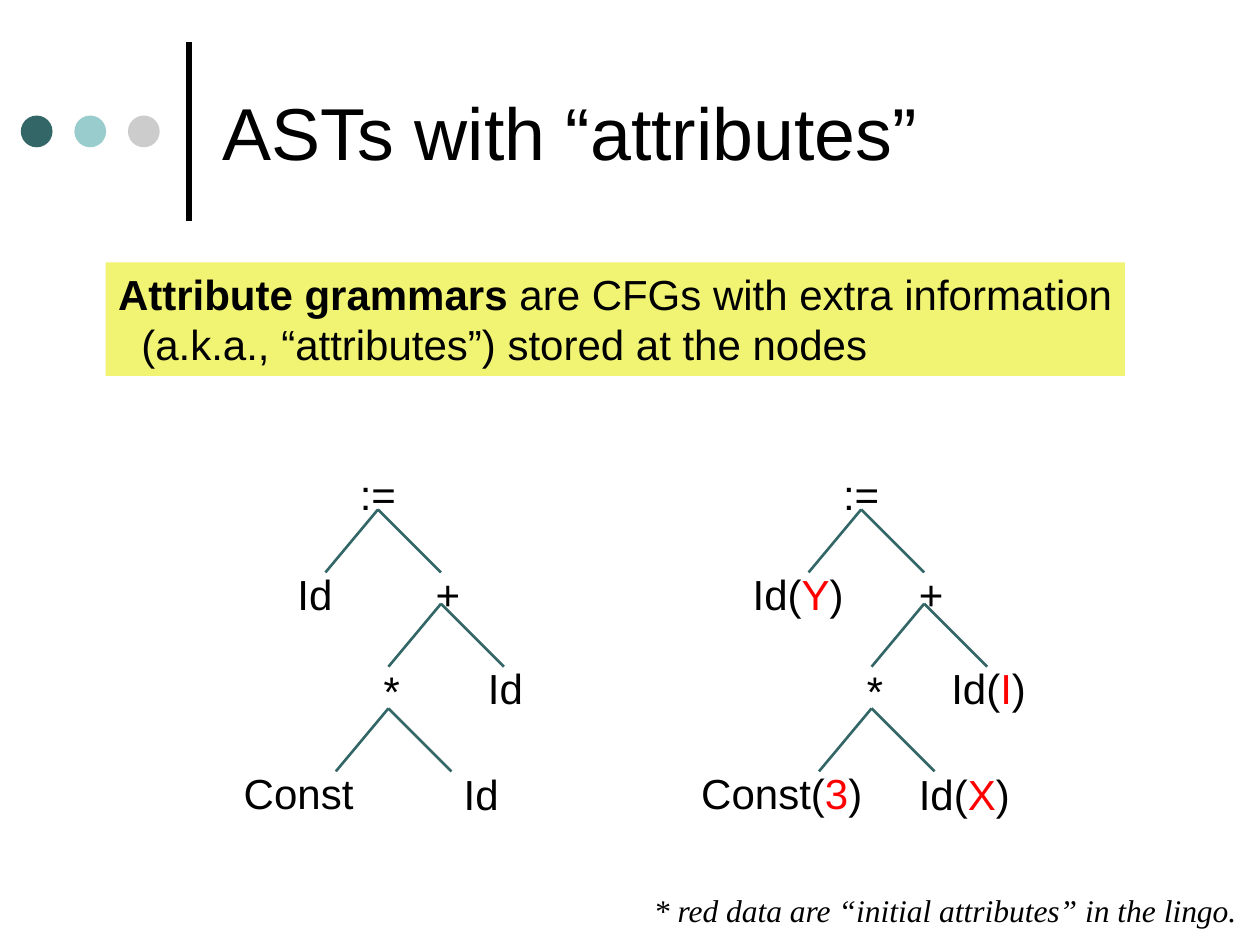
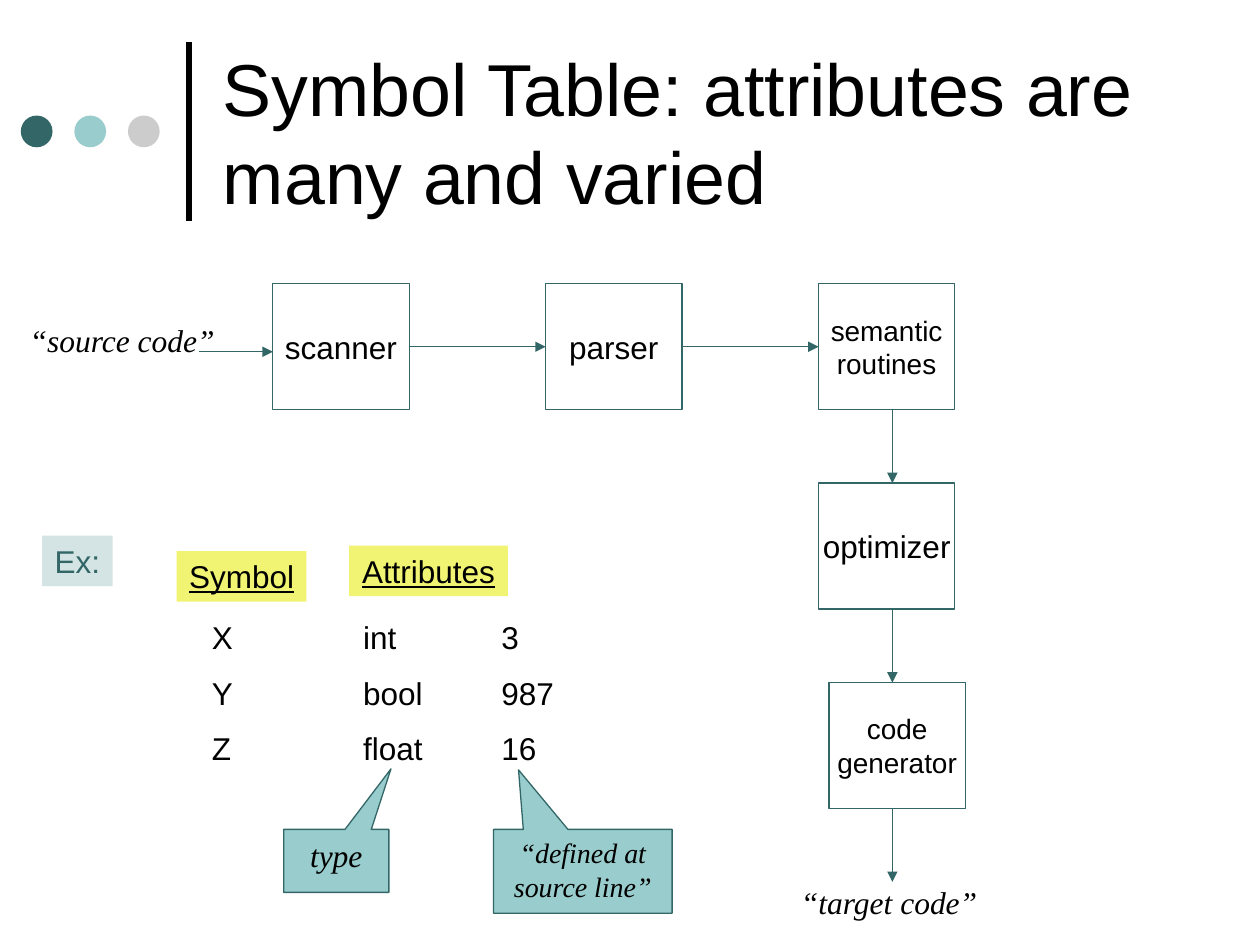
"""Build two compiler slides: attributed syntax trees and the symbol table."""
from dataclasses import dataclass

from lxml.etree import SubElement
from pptx import Presentation
from pptx.dml.color import RGBColor
from pptx.enum.shapes import MSO_CONNECTOR, MSO_SHAPE
from pptx.enum.text import MSO_ANCHOR, MSO_AUTO_SIZE, PP_ALIGN
from pptx.oxml.ns import qn
from pptx.util import Cm, Pt


@dataclass(frozen=True)
class Theme:
    ink: str = "000000"
    paper: str = "FFFFFF"
    teal: str = "336666"
    aqua: str = "99CCCC"
    grey: str = "CCCCCC"
    mist: str = "D4E4E4"
    yellow: str = "F1F472"
    red: str = "FF0000"
    sans: str = "Arial"
    serif: str = "Times New Roman"
    mono: str = "Courier New"
    title: int = 42
    large: int = 24
    normal: int = 18
    small: int = 16
    thin: float = 0.75
    branch: float = 1.5
    bar: float = 3


T = Theme()
NOTE = dict(font=T.serif, italic=True)

TITLES = ["ASTs with “attributes”", "Symbol Table: attributes are many and varied"]
TITLE_BOX = (4.24, 0.53, 19.48, 4.24)
DOTS = [T.teal, T.aqua, T.grey]

DEFINITION = [
    [("Attribute grammars", dict(bold=True)), (" are CFGs with extra information", {})],
    [("(a.k.a., “attributes”) stored at the nodes", {})],
]
FOOTNOTE = "* red data are “initial attributes” in the lingo."

NODES = [
    (":=", 7.62, 9.32),
    ("Id", 6.35, 11.33),
    ("+", 9.03, 11.33),
    ("*", 7.9, 13.31),
    ("Id", 10.19, 13.23),
    ("Const", 6.02, 15.34),
    ("Id", 9.7, 15.37),
]
FORKS = [(7.62, 10.27), (8.89, 12.17), (7.83, 14.28)]
BRANCHES = [(-1.06, 1.27), (1.27, 1.27)]
WIDTHS = {":=": 1.24, "Id": 1.22, "+": 1.02, "*": 1.02, "Const": 2.72,
          "Id(Y)": 2.34, "Id(I)": 2.01, "Const(3)": 3.76, "Id(X)": 2.34}
TREES = [(0, [""] * 7), (9.74, ["", "Y", "", "", "I", "3", "X"])]

BOX_W, BOX_H = 2.75, 2.54
COL0, ROW0, COL_STEP, ROW_STEP = 5.5, 5.72, 5.5, 4.02
DOWN_X = 17.99
STAGES = [
    (["scanner"], 0, 0, 0, T.normal),
    (["parser"], 1, 0, 0, T.normal),
    (["semantic", "routines"], 2, 0, 0, T.small),
    (["optimizer"], 2, 1, 0, T.normal),
    (["code", "generator"], 2, 2, 0.21, T.small),
]
ENDS = [("“target code”", (15.88, 17.68, 4.09, 1.02)),
        ("“source code”", (0.33, 6.35, 4.27, 1.02))]
SYMBOLS = [("X", "int", "3"), ("Y", "bool", "987"), ("Z", "float", "16")]
SYMBOL_TABS = [3.05, 5.84]
TAGS = [
    ("Symbol", (3.56, 11.11, 2.62, 1.02), T.yellow, dict(underline=True)),
    ("Attributes", (7.04, 11, 3.2, 1.02), T.yellow, dict(underline=True)),
    ("Ex:", (0.85, 10.8, 1.42, 1.02), T.mist, dict(color=T.teal)),
]
CALLOUTS = [
    ("type", (5.72, 16.72, 2.12, 1.27), (0.52, -1.46), T.normal),
    ("“defined at source line”", (9.95, 16.72, 3.6, 1.69), (-0.36, -1.21), T.small),
]


def rgb(color):
    return RGBColor.from_string(color)


def cms(box):
    return [Cm(v) for v in box]


def plain(*lines):
    return [[(line, {})] for line in lines]


def write(sp, paras, size, font=T.sans, color=T.ink, align=PP_ALIGN.CENTER, **style):
    tf = sp.text_frame
    for i, runs in enumerate(paras):
        p = tf.paragraphs[0] if i == 0 else tf.add_paragraph()
        p.alignment = align
        for text, extra in runs:
            look = {"color": color, **style, **extra}
            r = p.add_run()
            r.text = text
            r.font.name, r.font.size = font, Pt(size)
            r.font.color.rgb = rgb(look.pop("color"))
            for name, value in look.items():
                setattr(r.font, name, value)
    return tf


def fit(tf, wrap=False):
    tf.word_wrap = wrap
    tf.auto_size = MSO_AUTO_SIZE.SHAPE_TO_FIT_TEXT
    tf.vertical_anchor = MSO_ANCHOR.TOP


def shape(shapes, kind, box, fill, line=None):
    sp = shapes.add_shape(kind, *cms(box))
    sp.shadow.inherit = False
    sp.fill.solid()
    sp.fill.fore_color.rgb = rgb(fill)
    if line:
        sp.line.color.rgb = rgb(line)
        sp.line.width = Pt(T.thin)
    else:
        sp.line.fill.background()
    return sp


def label(shapes, box, paras, size, **style):
    sp = shapes.add_textbox(*cms(box))
    fit(write(sp, paras, size, **style))
    return sp


def line(shapes, start, end, color=T.teal, width=T.thin, arrow=False):
    c = shapes.add_connector(MSO_CONNECTOR.STRAIGHT, *cms(start + end))
    c.line.color.rgb = rgb(color)
    c.line.width = Pt(width)
    if arrow:
        SubElement(c.get_or_add_ln(), qn("a:tailEnd"), type="triangle")
    SubElement(c.element.spPr, qn("a:effectLst"))
    return c


def style_layout(layout, slide):
    title = layout.placeholders[0]
    title.left, title.top, title.width, title.height = cms(TITLE_BOX)
    title.text_frame.vertical_anchor = MSO_ANCHOR.MIDDLE
    band = [line(slide.shapes, (3.81, 4.45), (3.81, 0.84), T.ink, T.bar)]
    for i, color in enumerate(DOTS):
        dot = (0.42 + 1.08 * i, 2.33, 0.64, 0.64)
        band.append(shape(slide.shapes, MSO_SHAPE.OVAL, dot, color))
    for i, sp in enumerate(band):
        sp.element.xpath(".//p:cNvPr")[0].set("id", str(20 + i))
        layout.shapes.element.insert(2 + i, sp.element)


def draw_tree(slide, dx, values):
    shapes = slide.shapes.add_group_shape().shapes
    for (name, x, y), value in zip(NODES, values):
        runs = [(name, {})]
        if value:
            runs = [(name + "(", {}), (value, dict(color=T.red)), (")", {})]
        w = WIDTHS["".join(text for text, _ in runs)]
        font = T.mono if name == "*" else T.sans
        label(shapes, (x + dx - w / 2, y, w, 1.27), [runs], T.large, font=font)
    for x, y in FORKS:
        for bx, by in BRANCHES:
            line(shapes, (x + dx, y), (x + dx + bx, y + by), width=T.branch)


def draw_asts(slide):
    sp = shape(slide.shapes, MSO_SHAPE.RECTANGLE, (2.13, 5.29, 20.55, 2.29), T.yellow)
    tf = write(sp, DEFINITION, T.large, align=PP_ALIGN.LEFT)
    fit(tf)
    tf.paragraphs[1].runs[0].font.bold = False
    tf.paragraphs[1]._p.get_or_add_pPr().set("marL", str(Cm(0.47)))
    label(slide.shapes, (12.9, 17.83, 12.32, 1.02), plain(FOOTNOTE), T.normal, **NOTE)
    for dx, values in TREES:
        draw_tree(slide, dx, values)


def draw_pipeline(shapes):
    for lines, col, row, shift, size in STAGES:
        x, y = COL0 + COL_STEP * col + shift, ROW0 + ROW_STEP * row
        sp = shape(shapes, MSO_SHAPE.RECTANGLE, (x, y, BOX_W, BOX_H), T.paper, T.teal)
        tf = write(sp, plain(*lines), size)
        tf.word_wrap = False
        tf.vertical_anchor = MSO_ANCHOR.MIDDLE
    for i in range(2):
        x, y = COL0 + COL_STEP * i + BOX_W, ROW0 + BOX_H / 2
        line(shapes, (x, y), (x + COL_STEP - BOX_W, y), arrow=True)
    for i in range(3):
        y = ROW0 + ROW_STEP * i + BOX_H
        line(shapes, (DOWN_X, y), (DOWN_X, y + ROW_STEP - BOX_H), arrow=True)
    line(shapes, (4.02, 7.09), (COL0, 7.09), arrow=True)
    for text, box in ENDS:
        label(shapes, box, plain(text), T.normal, **NOTE)


def draw_symbols(shapes):
    rows = plain(*("\t".join(row) for row in SYMBOLS))
    sp = shapes.add_textbox(*cms((4.02, 12.34, 8.26, 3.3)))
    tf = write(sp, rows, T.normal, align=PP_ALIGN.LEFT)
    fit(tf, wrap=True)
    for p in tf.paragraphs:
        p.space_after = Pt(10)
        tabs = SubElement(p._p.get_or_add_pPr(), qn("a:tabLst"))
        for pos in SYMBOL_TABS:
            SubElement(tabs, qn("a:tab"), pos=str(Cm(pos)), algn="l")
    for text, box, fill, style in TAGS:
        sp = shape(shapes, MSO_SHAPE.RECTANGLE, box, fill)
        fit(write(sp, plain(text), T.normal, **style))
    for text, box, tip, size in CALLOUTS:
        sp = shape(shapes, MSO_SHAPE.RECTANGULAR_CALLOUT, box, T.aqua, T.teal)
        sp.adjustments[0], sp.adjustments[1] = tip
        tf = write(sp, plain(text), size, **NOTE)
        tf.word_wrap = True
        tf.vertical_anchor = MSO_ANCHOR.TOP


def main():
    prs = Presentation()
    prs.slide_width, prs.slide_height = Cm(25.4), Cm(19.05)
    layout = prs.slide_layouts[5]
    slides = [prs.slides.add_slide(layout) for _ in TITLES]
    style_layout(layout, slides[0])
    for slide, title in zip(slides, TITLES):
        write(slide.shapes.title, plain(title), T.title, align=PP_ALIGN.LEFT)
    draw_asts(slides[0])
    draw_pipeline(slides[1].shapes)
    draw_symbols(slides[1].shapes)
    prs.save("out.pptx")


main()
